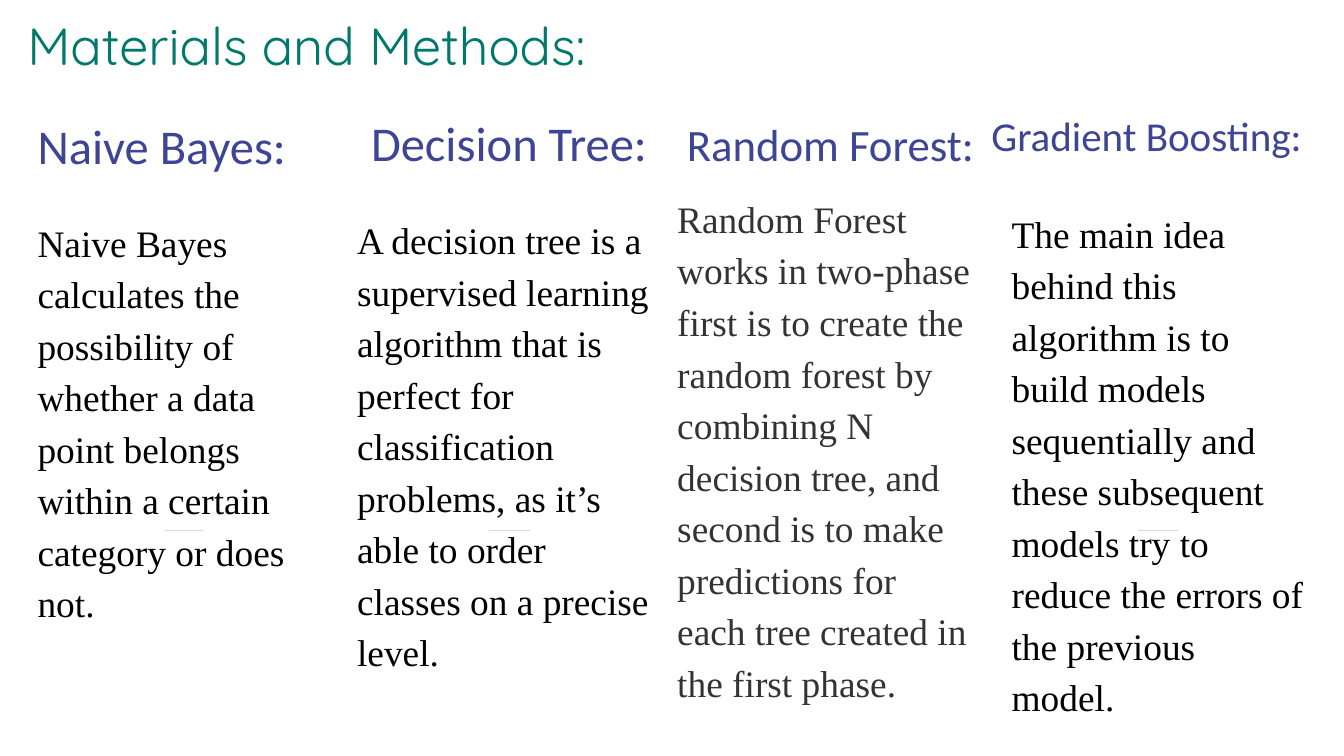
from lxml import etree
from pptx import Presentation
from pptx import util as u
from pptx.dml.color import RGBColor
from pptx.enum import shapes, text
from pptx.oxml import ns

TEAL = RGBColor(0x00, 0x79, 0x6B)
INDIGO = RGBColor(0x3D, 0x45, 0x94)
BLACK = RGBColor(0x00, 0x00, 0x00)
CHARCOAL = RGBColor(0x33, 0x33, 0x33)
WHITE = RGBColor(0xFF, 0xFF, 0xFF)
LIGHT_GREY = RGBColor(0xD9, 0xD9, 0xD9)

COLUMN_WIDTH = 6.05
RULE_TOP, RULE_LENGTH = 10.03, 0.76

# Boxes are left, top, width, height in centimetres.
METHODS = [
    dict(heading="Naive Bayes:",
         heading_box=(0.46, 2.03, COLUMN_WIDTH, 1.37),
         heading_format=dict(size=26),
         rule_left=3.1,
         summary="Naive Bayes calculates the possibility of whether a data point "
                 "belongs within a certain category or does not.",
         summary_box=(0.46, 3.78, COLUMN_WIDTH, 9.53),
         summary_format={}),
    dict(heading="Decision Tree:",
         heading_box=(6.6, 1.96, COLUMN_WIDTH, 1.37),
         heading_format=dict(size=26, centred=True),
         rule_left=9.25,
         summary="A decision tree is a supervised learning algorithm that is perfect "
                 "for classification problems, as it’s able to order classes on a "
                 "precise level.",
         summary_box=(6.5, 3.73, COLUMN_WIDTH, 9.53),
         summary_format={}),
    dict(heading="Random Forest:",
         heading_box=(12.73, 2.03, COLUMN_WIDTH, 1.37),
         heading_format=dict(size=24),
         rule_left=15.42,
         summary="Random Forest works in two-phase first is to create the random "
                 "forest by combining N decision tree, and second is to make "
                 "predictions for each tree created in the first phase.",
         summary_box=(12.55, 3.33, COLUMN_WIDTH, 9.7),
         summary_format=dict(color=CHARCOAL, highlight=WHITE)),
    dict(heading="Gradient Boosting:",
         heading_box=(18.42, 1.7, 6.5, 1.7),
         heading_format=dict(size=22, centred=True, line_spacing=1.15),
         rule_left=21.51,
         summary="The main idea behind this algorithm is to build models sequentially "
                 "and these subsequent models try to reduce the errors of the "
                 "previous model.",
         summary_box=(18.87, 3.61, COLUMN_WIDTH, 9.7),
         summary_format={}),
]


def write_text(frame, wording, *, font, size, color, centred=False,
               line_spacing=1.0, before=0, after=0, highlight=None):
    paragraph = frame.paragraphs[0]
    paragraph.alignment = text.PP_ALIGN.CENTER if centred else text.PP_ALIGN.LEFT
    paragraph.line_spacing = line_spacing
    paragraph.space_before = u.Pt(before)
    paragraph.space_after = u.Pt(after)
    run = paragraph.add_run()
    run.text = wording
    run.font.size = u.Pt(size)
    run.font.color.rgb = color
    if highlight is not None:
        marker = etree.SubElement(run.font._element, ns.qn("a:highlight"))
        etree.SubElement(marker, ns.qn("a:srgbClr"), val=str(highlight))
    run.font.name = font


class MethodsSlide:
    heading_style = dict(font="Calibri", color=INDIGO, line_spacing=0.95, after=12)
    summary_style = dict(font="Times New Roman", size=20, color=BLACK,
                         line_spacing=1.15, before=12)

    def __init__(self, slide):
        self.slide = slide

    def text_box(self, wording, box, **style):
        frame = self.slide.shapes.add_textbox(*map(u.Cm, box)).text_frame
        frame.word_wrap = True
        frame.vertical_anchor = text.MSO_ANCHOR.TOP
        frame.margin_left = frame.margin_right = u.Cm(0.25)
        frame.margin_top = frame.margin_bottom = u.Cm(0.25)
        write_text(frame, wording, **style)

    def title(self, wording):
        self.text_box(wording, (0, 0, 11.58, 1.7), font="Quicksand",
                      size=28, color=TEAL, centred=True)

    def rule(self, left):
        rule = self.slide.shapes.add_connector(
            shapes.MSO_CONNECTOR.STRAIGHT, u.Cm(left), u.Cm(RULE_TOP),
            u.Cm(left + RULE_LENGTH), u.Cm(RULE_TOP))
        rule.line.color.rgb = LIGHT_GREY
        rule.line.width = u.Pt(0.75)
        etree.SubElement(rule._element.spPr, ns.qn("a:effectLst"))

    def method(self, heading, heading_box, heading_format, rule_left,
               summary, summary_box, summary_format):
        self.text_box(heading, heading_box, **{**self.heading_style, **heading_format})
        self.rule(rule_left)
        self.text_box(summary, summary_box, **{**self.summary_style, **summary_format})


def main():
    deck = Presentation()
    deck.slide_width, deck.slide_height = u.Cm(25.4), u.Cm(14.29)
    page = MethodsSlide(deck.slides.add_slide(deck.slide_layouts[6]))
    page.title("Materials and Methods:")
    for method in METHODS:
        page.method(**method)
    deck.save("out.pptx")


if __name__ == "__main__":
    main()
